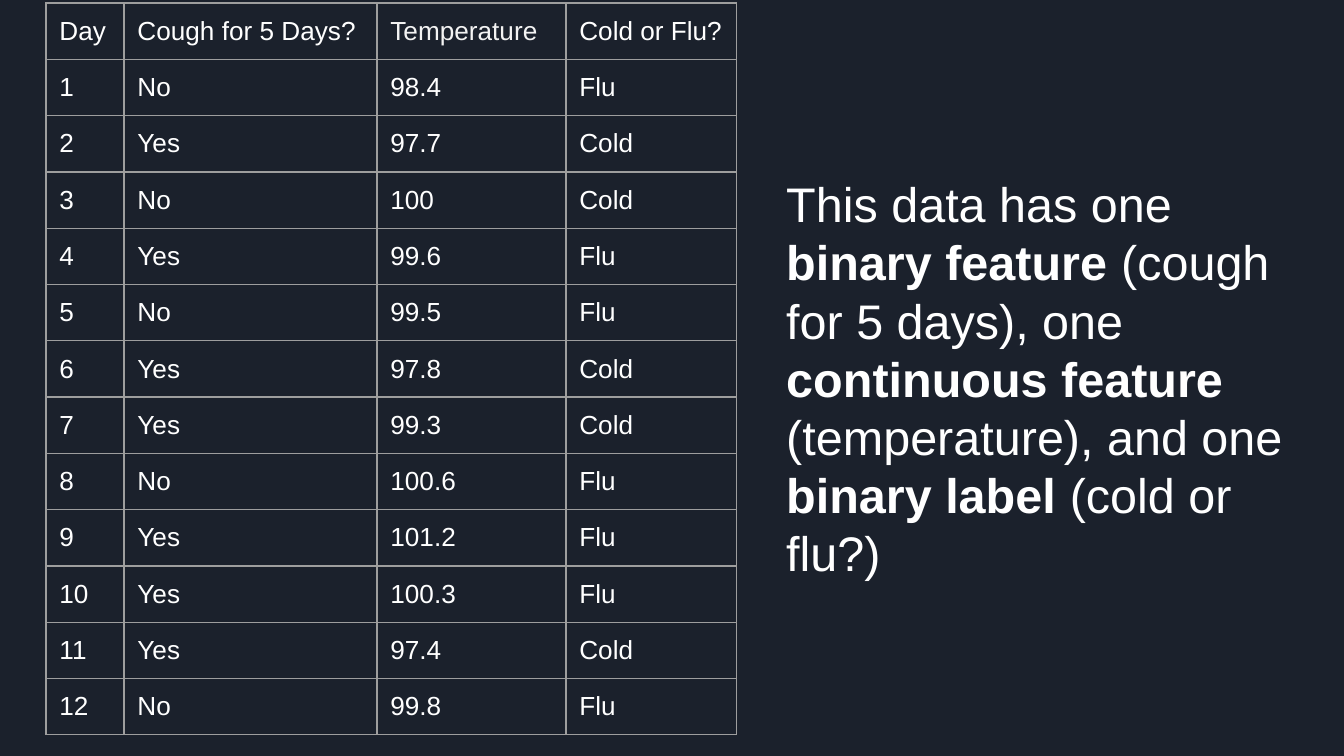
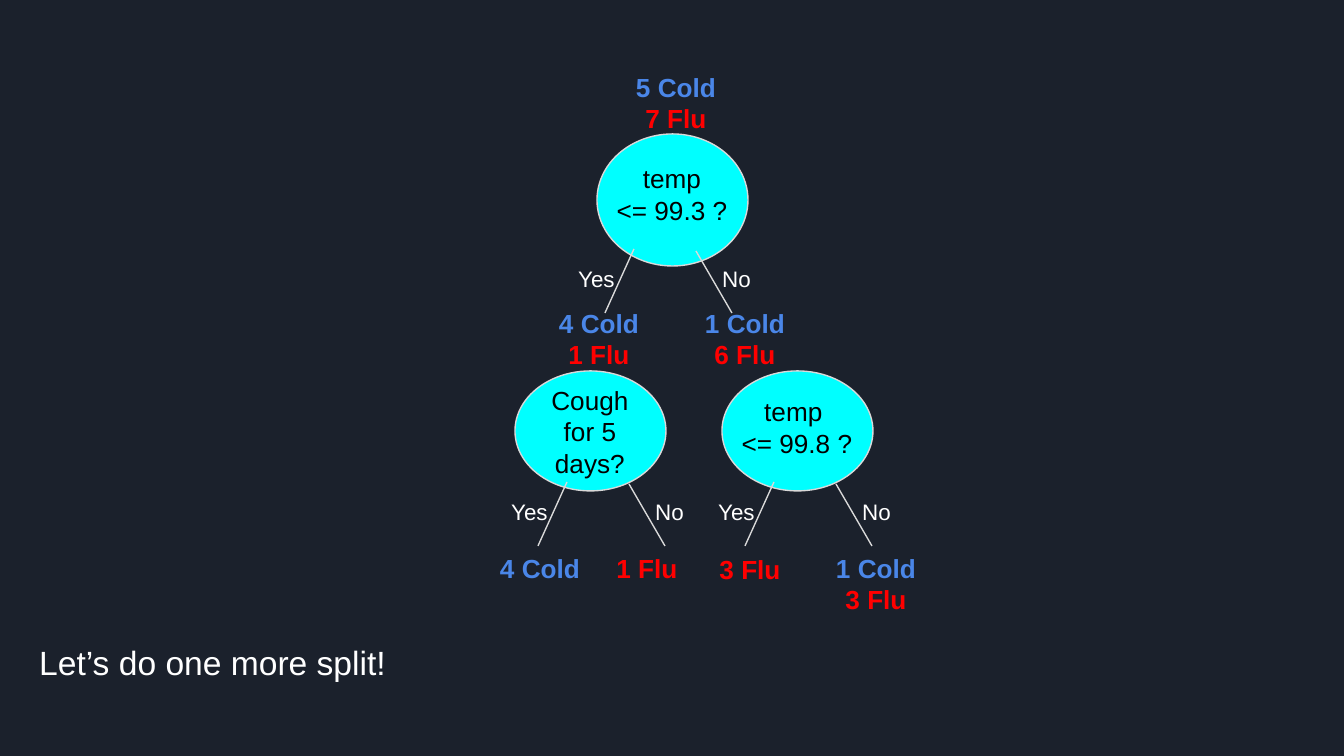
from lxml.etree import SubElement
from pptx import Presentation
from pptx.dml.color import RGBColor
from pptx.enum.shapes import MSO_CONNECTOR as Connector, MSO_SHAPE as Shape
from pptx.enum.text import MSO_ANCHOR as Anchor, PP_ALIGN as Align
from pptx.oxml.ns import qn
from pptx.util import Pt

# Shared look
PX = 914400 / 134.4
NAVY = RGBColor(0x1B, 0x21, 0x2C)
WHITE = RGBColor(0xFF, 0xFF, 0xFF)
OFF_WHITE = RGBColor(0xF3, 0xF3, 0xF3)
BLACK = RGBColor(0x00, 0x00, 0x00)
CYAN = RGBColor(0x00, 0xFF, 0xFF)
BLUE = RGBColor(0x4A, 0x86, 0xE8)
RED = RGBColor(0xFF, 0x00, 0x00)
LIGHT_GRAY = RGBColor(0xD9, 0xD9, 0xD9)
BORDER_GRAY = RGBColor(0x9E, 0x9E, 0x9E)
FONT = "Arial"
INSET = 0.1 * 914400


def px(*lengths):
    return [round(length * PX) for length in lengths]


def write(frame, lines, size, align=Align.LEFT, anchor=Anchor.TOP):
    """Fill a text frame; each line is a list of (text, colour, bold) spans."""
    layout = {"word_wrap": True, "vertical_anchor": anchor}
    layout.update({f"margin_{side}": round(INSET) for side in ("left", "right", "top", "bottom")})
    for name, value in layout.items():
        setattr(frame, name, value)
    for number, line in enumerate(lines):
        para = frame.add_paragraph() if number else frame.paragraphs[0]
        para.alignment = align
        for text, colour, bold in line:
            span = para.add_run()
            span.text = text
            for name, value in {"name": FONT, "size": Pt(size), "bold": bold}.items():
                setattr(span.font, name, value)
            span.font.color.rgb = colour


deck = Presentation()
deck.slide_width, deck.slide_height = px(1344, 756)
background = deck.slide_master.background.fill
background.solid()
background.fore_color.rgb = NAVY
blank = deck.slide_layouts[6]

# Slide 1: data table
page = deck.slides.add_slide(blank)
rows = [
    ("Day", "Cough for 5 Days?", "Temperature", "Cold or Flu?"),
    ("1", "No", "98.4", "Flu"),
    ("2", "Yes", "97.7", "Cold"),
    ("3", "No", "100", "Cold"),
    ("4", "Yes", "99.6", "Flu"),
    ("5", "No", "99.5", "Flu"),
    ("6", "Yes", "97.8", "Cold"),
    ("7", "Yes", "99.3", "Cold"),
    ("8", "No", "100.6", "Flu"),
    ("9", "Yes", "101.2", "Flu"),
    ("10", "Yes", "100.3", "Flu"),
    ("11", "Yes", "97.4", "Cold"),
    ("12", "No", "99.8", "Flu"),
]
widths = px(78, 253, 189, 171)
row_height = 56
table = page.shapes.add_table(
    len(rows), len(widths), *px(46, 3, 691, row_height * len(rows))).table
table.first_row = table.horz_banding = False
for column, width in zip(table.columns, widths):
    column.width = width
for r, values in enumerate(rows):
    for c, text in enumerate(values):
        cell = table.cell(r, c)
        colour = OFF_WHITE if text == "Temperature" else WHITE
        write(cell.text_frame, [[(text, colour, False)]], 14)
        for side in ("left", "right", "top", "bottom"):
            setattr(cell, f"margin_{side}", round(INSET))
        properties = cell._tc.get_or_add_tcPr()
        for edge in ("a:lnL", "a:lnR", "a:lnT", "a:lnB"):
            line = SubElement(properties, qn(edge), w=str(Pt(0.75)))
            fill = SubElement(line, qn("a:solidFill"))
            SubElement(fill, qn("a:srgbClr"), val=str(BORDER_GRAY))
        cell.fill.background()

# Slide 1: explanation
panel = page.shapes.add_shape(Shape.RECTANGLE, *px(773, 3, 540, 750))
panel.shadow.inherit = False
panel.fill.solid()
panel.fill.fore_color.rgb = NAVY
panel.line.fill.background()
write(panel.text_frame, [[
    ("This data has one ", WHITE, False), ("binary feature", WHITE, True),
    (" (cough for 5 days), one ", WHITE, False), ("continuous feature", WHITE, True),
    (" (temperature), and one ", WHITE, False), ("binary label", WHITE, True),
    (" (cold or flu?)", WHITE, False),
]], 26, anchor=Anchor.MIDDLE)

# Slide 2: decision nodes, each with its Yes and No branches
page = deck.slides.add_slide(blank)
# left, top, height, question height, question, anchor, branch left, branch top
nodes = [
    (597, 134, 132, 120, ["temp", "<= 99.3 ?"], Anchor.MIDDLE, 605, 249),
    (515, 371, 120, 112, ["Cough for 5 days?"], Anchor.TOP, 538, 482),
    (722, 371, 120, 112, ["temp ", "<= 99.8 ?"], Anchor.MIDDLE, 745, 482),
]
# label, label offset, line start, line end; all from the branch corner
branches = [("Yes", -53, (29, 0), (0, 64)), ("No", 87, (91, 2), (127, 64))]
for left, top, height, question_height, question, anchor, x, y in nodes:
    oval = page.shapes.add_shape(Shape.OVAL, *px(left, top, 151, height))
    oval.shadow.inherit = False
    oval.fill.solid()
    oval.fill.fore_color.rgb = CYAN
    oval.line.color.rgb = LIGHT_GRAY
    oval.line.width = Pt(0.75)
    box = page.shapes.add_textbox(*px(left + 6, top, 138, question_height))
    write(box.text_frame, [[(text, BLACK, False)] for text in question],
          14, Align.CENTER, anchor)
    for label, offset, start, end in branches:
        box = page.shapes.add_textbox(*px(x + offset, y + 3, 89, 50))
        write(box.text_frame, [[(label, WHITE, False)]], 12, Align.CENTER)
        branch = page.shapes.add_connector(
            Connector.STRAIGHT, *px(x + start[0], y + start[1], x + end[0], y + end[1]))
        branch.line.color.rgb = LIGHT_GRAY
        branch.line.width = Pt(0.75)
        SubElement(branch._element.spPr, qn("a:effectLst"))

# Slide 2: class counts above the nodes and at the leaves
counts = [
    (622, 58, ["5 Cold", "7 Flu"]),
    (545, 294, ["4 Cold", "1 Flu"]),
    (691, 294, ["1 Cold", "6 Flu"]),
    (486, 539, ["4 Cold"]),
    (593, 539, ["1 Flu"]),
    (696, 540, ["3 Flu"]),
    (822, 539, ["1 Cold", "3 Flu"]),
]
for left, top, lines in counts:
    box = page.shapes.add_textbox(*px(left, top, 108, 75))
    write(box.text_frame,
          [[(text, BLUE if "Cold" in text else RED, True)] for text in lines],
          14, Align.CENTER)

# Slide 2: closing line
box = page.shapes.add_textbox(*px(26, 629, 1302, 98))
write(box.text_frame, [[("Let’s do one more split!", WHITE, False)]], 18)

deck.save("out.pptx")
